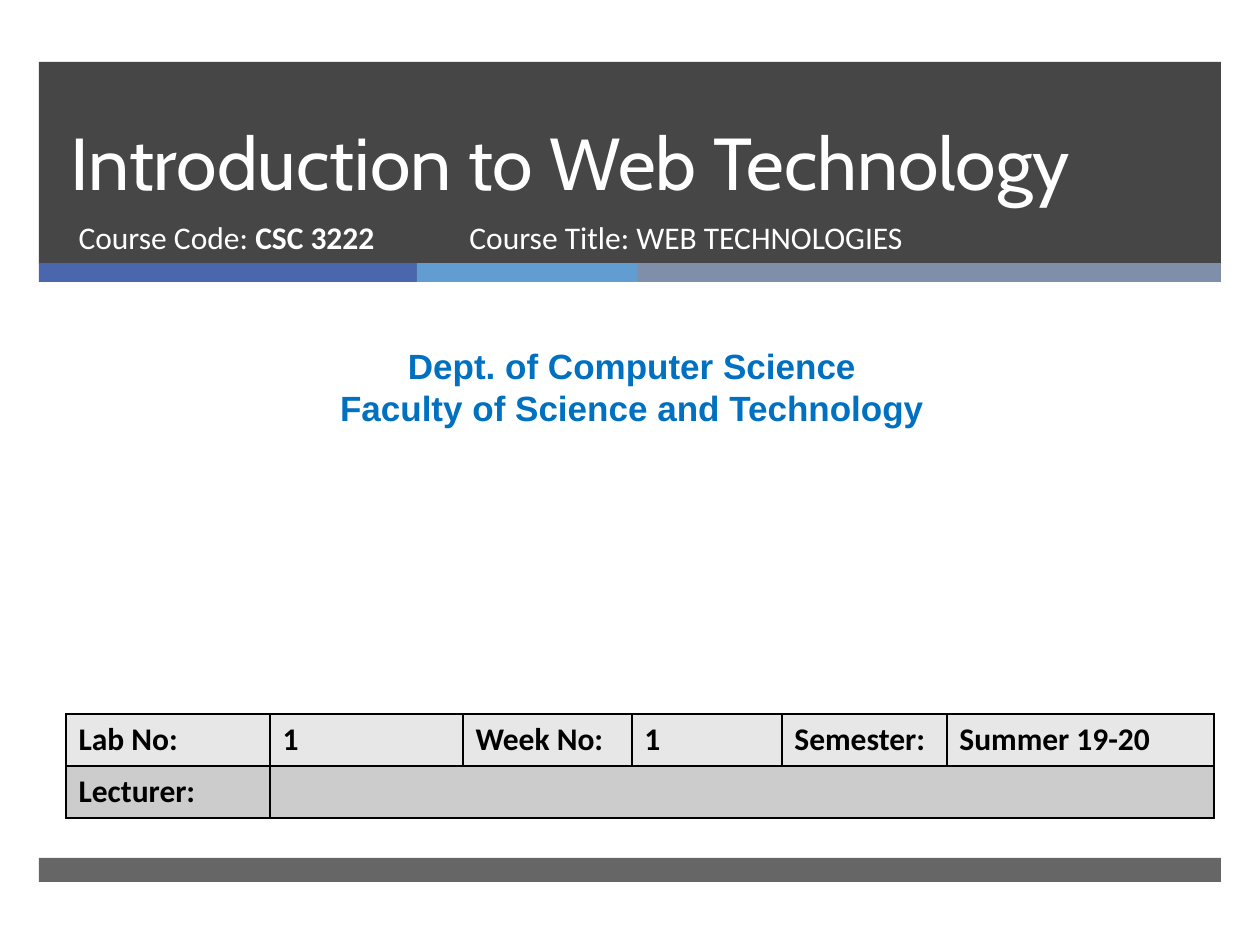
from typing import NamedTuple

from lxml import etree
from pptx import Presentation
from pptx import util as u
from pptx.dml.color import RGBColor
from pptx.enum import shapes, text
from pptx.oxml.ns import qn

PX = u.Inches(1) / 126
DARK, WHITE, BLACK = "262626", "FFFFFF", "000000"


class Box(NamedTuple):
    left: int
    top: int
    width: int
    height: int


class Bar(NamedTuple):
    box: Box
    color: str
    opacity: int = 100


class Style(NamedTuple):
    font: str
    size: int
    color: str
    bold: bool = False


TITLE = Style("Cabin", 42, WHITE)
COURSE = Style("Calibri", 18, WHITE)
DEPARTMENT = Style("Arial", 20, "0070C0", True)
CELL = Style("Calibri", 18, BLACK, True)

BARS = [
    Bar(Box(39, 62, 1182, 202), DARK, 85),
    Bar(Box(39, 263, 378, 19), "4A66AC"),
    Bar(Box(417, 263, 221, 19), "629DD1"),
    Bar(Box(638, 263, 583, 19), "7F8FA9"),
    Bar(Box(39, 858, 1182, 24), DARK, 70),
]

COLUMN_WIDTHS = [204, 193, 169, 150, 165, 267]
ROW_HEIGHT = 52
ROW_FILLS = ["E7E7E7", "CCCCCC"]
ROWS = [
    ["Lab No:", "1", "Week No:", "1", "Semester:", "Summer 19-20"],
    ["Lecturer:"],
]


def emu(px: int) -> int:
    return round(px * PX)


def rgb(color: str) -> RGBColor:
    return RGBColor.from_string(color)


def place(shape, box: Box) -> None:
    shape.left, shape.top, shape.width, shape.height = map(emu, box)


def add_span(para, words: str, style: Style) -> None:
    span = para.add_run()
    span.text = words
    span.font.name = style.font
    span.font.size = u.Pt(style.size)
    span.font.bold = style.bold
    span.font.color.rgb = rgb(style.color)


def add_bar(page, bar: Bar) -> None:
    shape = page.shapes.add_shape(shapes.MSO_SHAPE.RECTANGLE, *map(emu, bar.box))
    shape.shadow.inherit = False
    shape.line.fill.background()
    shape.fill.solid()
    shape.fill.fore_color.rgb = rgb(bar.color)
    if bar.opacity < 100:
        color = shape.element.spPr.find(f"{qn('a:solidFill')}/{qn('a:srgbClr')}")
        etree.SubElement(color, qn("a:alpha"), val=str(bar.opacity * 1000))


def prepare_placeholder(holder, box: Box, anchor):
    """Bring the placeholder to the front and return its first paragraph."""
    holder.element.getparent().append(holder.element)
    place(holder, box)
    frame = holder.text_frame
    frame.auto_size = text.MSO_AUTO_SIZE.NONE
    frame.vertical_anchor = anchor
    para = frame.paragraphs[0]
    para.alignment = text.PP_ALIGN.LEFT
    para.space_before = u.Pt(0)
    return para


def add_text(page, box: Box, lines: list[str], style: Style, align) -> None:
    frame = page.shapes.add_textbox(*map(emu, box)).text_frame
    frame.word_wrap = True
    for index, line in enumerate(lines):
        para = frame.add_paragraph() if index else frame.paragraphs[0]
        para.alignment = align
        add_span(para, line, style)


def format_cell(cell, fill: str) -> None:
    """Give the cell a thin black border on all sides and a plain fill."""
    properties = cell._tc.get_or_add_tcPr()
    for side in ("lnL", "lnR", "lnT", "lnB"):
        line = etree.SubElement(properties, qn(f"a:{side}"), w=str(u.Pt(1)))
        solid = etree.SubElement(line, qn("a:solidFill"))
        etree.SubElement(solid, qn("a:srgbClr"), val=BLACK)
    cell.fill.solid()
    cell.fill.fore_color.rgb = rgb(fill)


def add_lab_table(page) -> None:
    box = Box(66, 714, sum(COLUMN_WIDTHS), ROW_HEIGHT * len(ROWS))
    table = page.shapes.add_table(len(ROWS), len(COLUMN_WIDTHS), *map(emu, box)).table
    table.first_row = table.horz_banding = False
    for column, width in zip(table.columns, COLUMN_WIDTHS):
        column.width = emu(width)
    for row, labels, fill in zip(table.rows, ROWS, ROW_FILLS):
        row.height = emu(ROW_HEIGHT)
        for cell in row.cells:
            format_cell(cell, fill)
        for cell, label in zip(row.cells, labels):
            add_span(cell.text_frame.paragraphs[0], label, CELL)
    table.cell(1, 1).merge(table.cell(1, len(COLUMN_WIDTHS) - 1))


def main() -> None:
    deck = Presentation()
    deck.slide_width, deck.slide_height = u.Inches(10), u.Inches(7.5)
    page = deck.slides.add_slide(deck.slide_layouts[0])
    title, subtitle = page.placeholders

    for bar in BARS:
        add_bar(page, bar)

    para = prepare_placeholder(title, Box(58, 62, 1076, 150), text.MSO_ANCHOR.BOTTOM)
    para.line_spacing = u.Pt(46)
    add_span(para, "Introduction to Web Technology", TITLE)

    para = prepare_placeholder(subtitle, Box(66, 212, 384, 67), text.MSO_ANCHOR.TOP)
    add_span(para, "Course Code: ", COURSE)
    add_span(para, "CSC 3222", COURSE._replace(bold=True))

    add_text(page, Box(10, 338, 1244, 97),
             ["Dept. of Computer Science", "Faculty of Science and Technology"],
             DEPARTMENT, text.PP_ALIGN.CENTER)
    add_lab_table(page)
    add_text(page, Box(457, 212, 573, 67),
             ["Course Title: WEB TECHNOLOGIES"], COURSE, text.PP_ALIGN.LEFT)

    deck.save("out.pptx")


if __name__ == "__main__":
    main()
